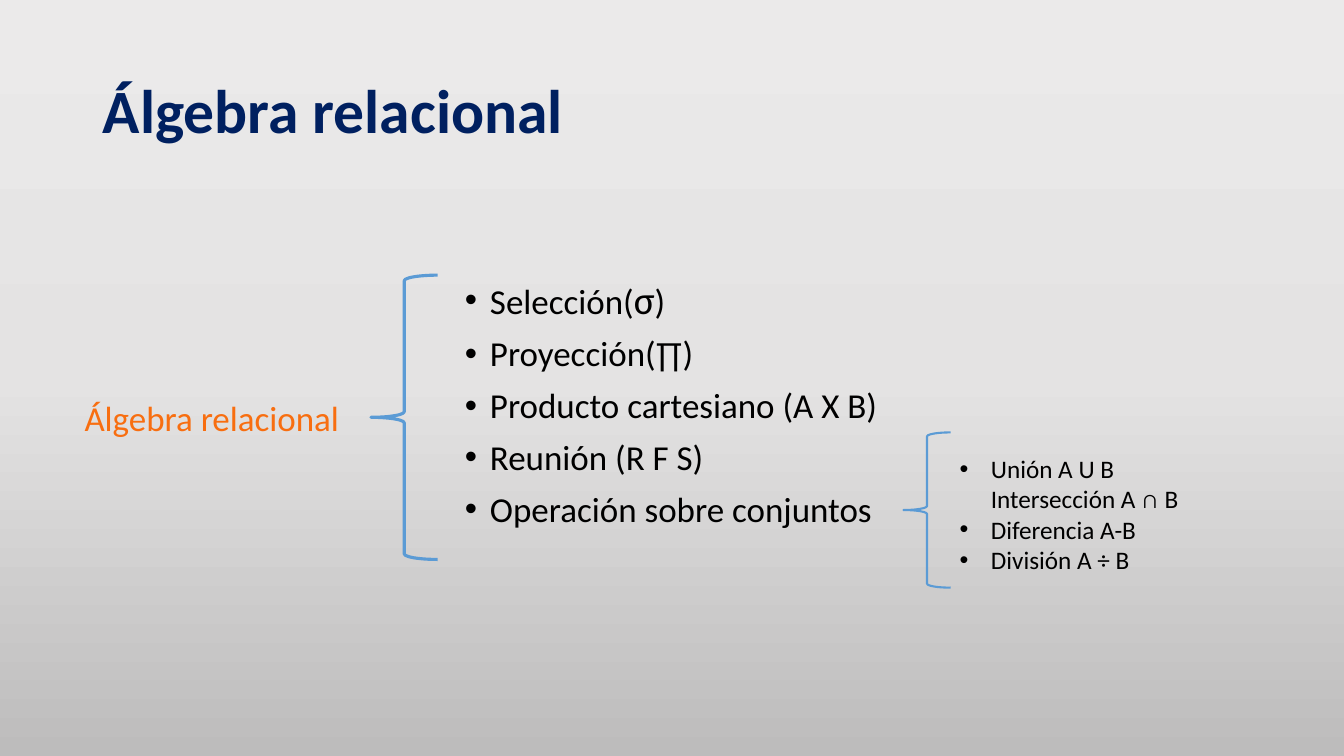
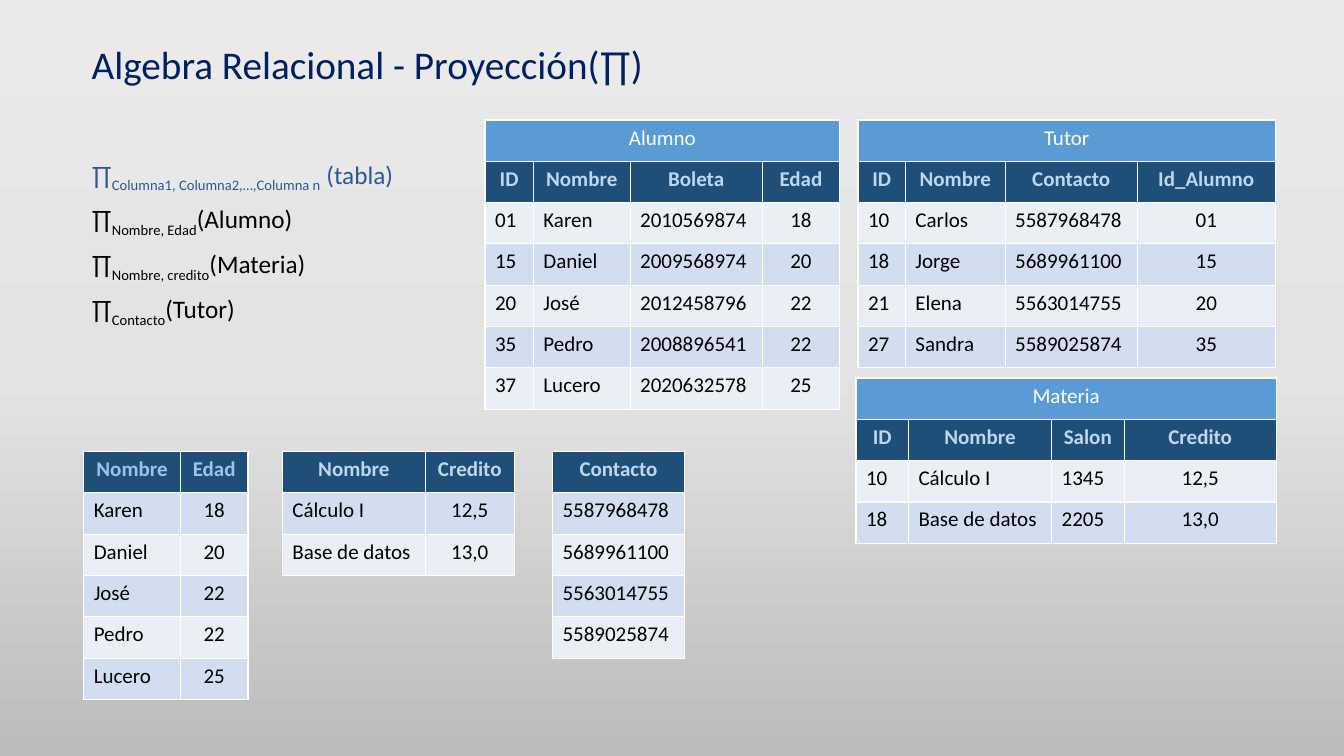
import copy
import dataclasses

import lxml.etree
import pptx
import pptx.dml.color
import pptx.enum.shapes
import pptx.enum.text
import pptx.oxml.ns
import pptx.util

Inches = pptx.util.Inches
Pt = pptx.util.Pt
qn = pptx.oxml.ns.qn
Align = pptx.enum.text.PP_ALIGN
Anchor = pptx.enum.text.MSO_ANCHOR
Fit = pptx.enum.text.MSO_AUTO_SIZE


@dataclasses.dataclass(frozen=True)
class Theme:
    font: str = "Calibri"
    navy: str = "002060"
    blue: str = "5B9BD5"
    ink: str = "000000"
    white: str = "FFFFFF"
    orange: str = "F86E10"
    rule: str = "2F5597"
    head: str = "1F4E79"
    pale: str = "BDD7EE"
    sky: str = "9DC3E6"
    bands: tuple = ("EAEFF7", "D2DEEF")
    back: tuple = ((0, "EBEAEA"), (0.5, "E4E3E3"), (1, "BDBCBC"))
    big: int = 44
    title: int = 28
    list: int = 25
    note: int = 18
    cell: int = 15
    row: float = 0.41


THEME = Theme()


def rgb(code):
    return pptx.dml.color.RGBColor.from_string(code)


def place(shape, box):
    shape.left, shape.top, shape.width, shape.height = map(Inches, box)


def style(run, size, color, bold=False):
    run.font.name = THEME.font
    run.font.size = Pt(size)
    run.font.bold = bold
    run.font.color.rgb = rgb(color)


def fill_line(par, parts, color, bold=False):
    """Write (text, size) parts into a paragraph."""
    for text, size in parts:
        run = par.add_run()
        run.text = text
        style(run, size, color, bold)


def set_list(par, indent):
    """Give a hanging bullet, or none when the indent is zero."""
    props = par._p.get_or_add_pPr()
    props.set("marL", str(Inches(indent)))
    props.set("indent", str(-Inches(indent)))
    if indent:
        lxml.etree.SubElement(props, qn("a:buFont")).set("typeface", "Arial")
        lxml.etree.SubElement(props, qn("a:buChar")).set("char", "•")
    else:
        lxml.etree.SubElement(props, qn("a:buNone"))


def add_pars(frame, count):
    """Return the first paragraph and the new ones after it."""
    for _ in range(count - 1):
        frame.add_paragraph()
    return frame.paragraphs


def space(par):
    par.line_spacing = 0.9
    par.space_before = Pt(10)


def paint_back(master):
    fill = master.background.fill
    fill.gradient()
    fill.gradient_angle = 270
    stops = next(master.element.iter(qn("a:gsLst")))
    stops.append(copy.deepcopy(stops[0]))
    for stop, (spot, color) in zip(fill.gradient_stops, THEME.back):
        stop.position = spot
        stop.color.rgb = rgb(color)


def add_title(slide, text, box, size, color, bold=False, anchor=Anchor.MIDDLE):
    shape = slide.shapes.title
    place(shape, box)
    frame = shape.text_frame
    frame.auto_size = Fit.NONE
    frame.vertical_anchor = anchor
    frame.text = text
    par = frame.paragraphs[0]
    par.alignment = Align.LEFT
    par.line_spacing = 0.9
    style(par.runs[0], size, color, bold)


def add_body(slide, box, count, indent):
    """Return the spaced paragraphs of the body placeholder."""
    shape = slide.placeholders[1]
    place(shape, box)
    shape.text_frame.auto_size = Fit.NONE
    pars = add_pars(shape.text_frame, count)
    for par in pars:
        space(par)
        set_list(par, indent)
    return pars


def add_brace(shapes, box, width):
    kind = pptx.enum.shapes.MSO_SHAPE.LEFT_BRACE
    brace = shapes.add_shape(kind, *map(Inches, box))
    brace.shadow.inherit = False
    brace.fill.background()
    brace.line.color.rgb = rgb(THEME.blue)
    brace.line.width = Pt(width)


def add_text(shapes, box, lines, size, color, indent=0, wrap=True):
    frame = shapes.add_textbox(*map(Inches, box)).text_frame
    frame.word_wrap = wrap
    for par, line in zip(add_pars(frame, len(lines)), lines):
        set_list(par, indent)
        fill_line(par, [(line, size)], color)


def add_rule(par, sub, name, color):
    """Write one projection: symbol, lowered columns, relation."""
    fill_line(par, [(text, THEME.note) for text in ("∏", sub, name)], color)
    par.runs[1]._r.get_or_add_rPr().set("baseline", "-25000")


def add_edges(cell):
    props = cell._tc.get_or_add_tcPr()
    for side in ("a:lnL", "a:lnR", "a:lnT", "a:lnB"):
        line = lxml.etree.SubElement(props, qn(side), w=str(Pt(1)))
        solid = lxml.etree.SubElement(line, qn("a:solidFill"))
        lxml.etree.SubElement(solid, qn("a:srgbClr"), val=THEME.white)


def set_cell(cell, text, fill, color, bold, align):
    add_edges(cell)
    cell.fill.solid()
    cell.fill.fore_color.rgb = rgb(fill)
    cell.text_frame.text = text
    par = cell.text_frame.paragraphs[0]
    par.alignment = align
    for run in par.runs:
        style(run, THEME.cell, color, bold)


def add_grid(slide, spot, widths, rows, name="", tint=THEME.pale):
    """Add a table with a head row, under a merged name row if named."""
    last = len(widths) - 1
    top = 1 if name else 0
    if name:
        rows = [[name] + [""] * last] + rows
    size = (sum(widths), THEME.row * len(rows))
    frame = slide.shapes.add_table(len(rows), len(widths),
                                   *map(Inches, spot + size))
    grid = frame.table
    for col, width in zip(grid.columns, widths):
        col.width = Inches(width)
    for i, row in enumerate(rows):
        grid.rows[i].height = Inches(THEME.row)
        for j, text in enumerate(row):
            mid = i <= top or 0 < j == last
            if i < top:
                look = (THEME.blue, THEME.white, False)
            elif i == top:
                look = (THEME.head, tint, True)
            else:
                look = (THEME.bands[i % 2], THEME.ink, False)
            set_cell(grid.cell(i, j), text, *look,
                     Align.CENTER if mid else Align.LEFT)
    if name:
        grid.cell(0, 0).merge(grid.cell(0, last))


def draw_map(slide):
    add_title(slide, "Álgebra relacional", (0.92, 0.4, 11.5, 1.45),
              THEME.big, THEME.navy, bold=True)
    size = THEME.list
    items = [
        [("Selección(", size), ("σ", 28), (")", size)],
        [("Proyección(", size), ("∏", 24), (")", size)],
        [("Producto cartesiano (A X B)", size)],
        [("Reunión (R F S)", size)],
        [("Operación sobre conjuntos", size)],
    ]
    pars = add_body(slide, (4.51, 2.73, 4.86, 3.01), len(items), 0.25)
    for par, parts in zip(pars, items):
        fill_line(par, parts, THEME.ink)
    add_brace(slide.shapes, (3.68, 2.73, 0.66, 2.82), 2.25)
    add_text(slide.shapes, (0.74, 3.88, 2.76, 0.52), ["Álgebra relacional"],
             size, THEME.orange, wrap=False)
    group = slide.shapes.add_group_shape().shapes
    sets = ["Unión A U B Intersección A ∩ B", "Diferencia A-B",
            "División A ÷ B"]
    add_text(group, (9.42, 4.45, 2.57, 1.31), sets, THEME.note, THEME.ink,
             indent=0.31)
    add_brace(group, (8.96, 4.29, 0.47, 1.54), 1.5)


def draw_rules(slide):
    add_title(slide, "Algebra Relacional - Proyección(∏)",
              (0.81, 0.4, 11.5, 0.55), THEME.title, THEME.navy,
              anchor=Anchor.TOP)
    rules = [
        ("Columna1, Columna2,…,Columna n", " (tabla)", THEME.rule),
        ("Nombre, Edad", "(Alumno)", THEME.ink),
        ("Nombre, credito", "(Materia)", THEME.ink),
        ("Contacto", "(Tutor)", THEME.ink),
    ]
    pars = add_body(slide, (0.81, 1.53, 3.9, 1.9), len(rules), 0)
    for par, rule in zip(pars, rules):
        add_rule(par, *rule)


def pick(rows, *cols):
    """Project rows onto the given columns."""
    return [[row[col] for col in cols] for row in rows]


def draw_grids(slide):
    pupils = [
        ["ID", "Nombre", "Boleta", "Edad"],
        ["01", "Karen", "2010569874", "18"],
        ["15", "Daniel", "2009568974", "20"],
        ["20", "José", "2012458796", "22"],
        ["35", "Pedro", "2008896541", "22"],
        ["37", "Lucero", "2020632578", "25"],
    ]
    tutors = [
        ["ID", "Nombre", "Contacto", "Id_Alumno"],
        ["10", "Carlos", "5587968478", "01"],
        ["18", "Jorge", "5689961100", "15"],
        ["21", "Elena", "5563014755", "20"],
        ["27", "Sandra", "5589025874", "35"],
    ]
    themes = [
        ["ID", "Nombre", "Salon", "Credito"],
        ["10", "Cálculo I", "1345", "12,5"],
        ["18", "Base de datos", "2205", "13,0"],
    ]
    add_grid(slide, (4.81, 1.19), (0.48, 0.96, 1.31, 0.77), pupils, "Alumno")
    add_grid(slide, (8.51, 1.19), (0.47, 0.99, 1.31, 1.37), tutors, "Tutor")
    add_grid(slide, (8.49, 3.75), (0.52, 1.42, 0.72, 1.51), themes, "Materia")
    low = 4.48
    add_grid(slide, (0.83, low), (0.96, 0.67), pick(pupils, 1, 3),
             tint=THEME.sky)
    add_grid(slide, (2.8, low), (1.42, 0.88), pick(themes, 1, 3))
    add_grid(slide, (5.48, low), (1.31,), pick(tutors, 2))


def main():
    deck = pptx.Presentation()
    deck.slide_width, deck.slide_height = Inches(13.33), Inches(7.5)
    paint_back(deck.slide_master)
    layout = deck.slide_layouts[1]
    draw_map(deck.slides.add_slide(layout))
    slide = deck.slides.add_slide(layout)
    draw_rules(slide)
    draw_grids(slide)
    deck.save("out.pptx")


if __name__ == "__main__":
    main()
